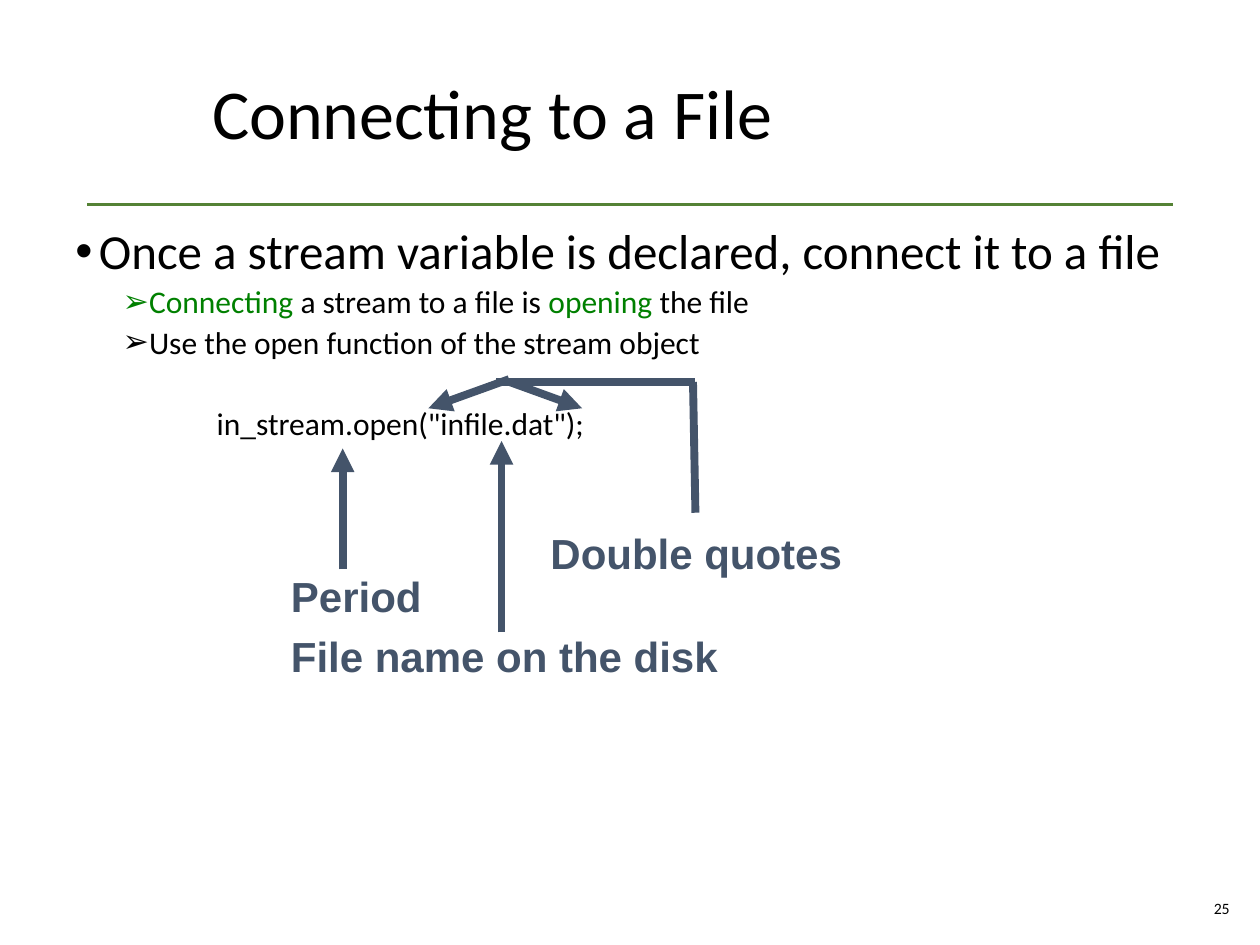
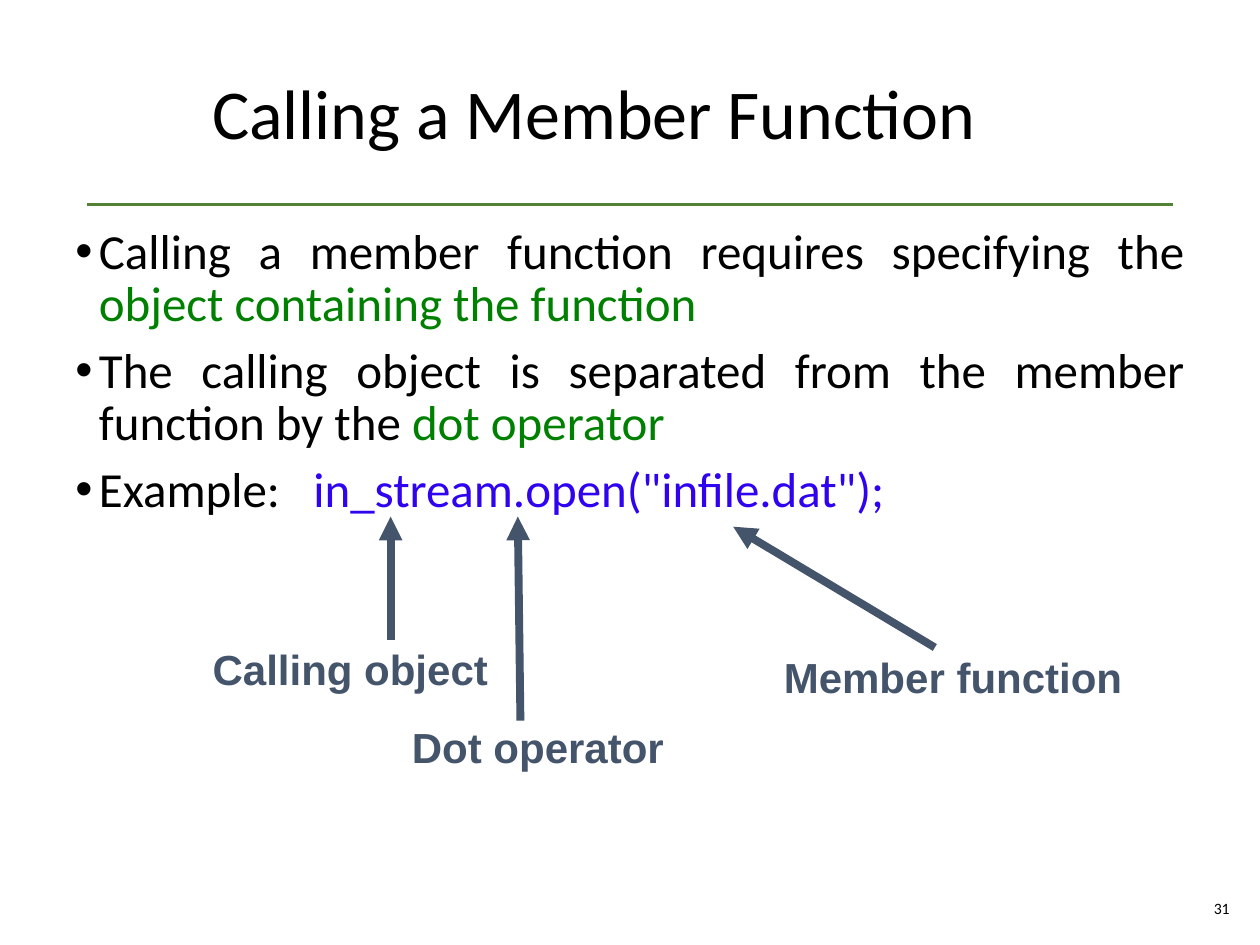
import pptx
import pptx.util
import pptx.dml.color
import pptx.enum.shapes
import pptx.enum.text
import pptx.oxml
import pptx.oxml.ns

Pt = pptx.util.Pt
ALIGN = pptx.enum.text.PP_ALIGN
ANCHOR = pptx.enum.text.MSO_ANCHOR
BLACK, GREEN, BLUE, SLATE, RULE = "000000", "008000", "2F02F0", "44546A", "548235"
EXAMPLE = 'in_stream.open("infile.dat");'


def color(code):
    return pptx.dml.color.RGBColor.from_string(code)


def node(parent, tag, **attrs):
    """Append a drawing element that python-pptx has no method for."""
    item = pptx.oxml.ns.qn("a:" + tag)
    child = parent.makeelement(item, attrs)
    parent.append(child)
    return child


def write(para, text, size=28, font="Calibri", ink=BLACK, bold=False, gap=0):
    """Add a run; gap widens the space after each letter, in points."""
    run = para.add_run()
    run.text = text
    run.font.size = Pt(size)
    run.font.name = font
    run.font.bold = bold
    run.font.color.rgb = color(ink)
    if gap:
        run.font._element.set("spc", str(round(gap * 100)))


def box(slide, left, top, width, height, wrap=True):
    frame = slide.shapes.add_textbox(Pt(left), Pt(top), Pt(width), Pt(height)).text_frame
    frame.word_wrap = wrap
    return frame


def line(slide, start, end, ink=SLATE, width=4.5, arrow=False):
    ends = [Pt(value) for value in (*start, *end)]
    link = slide.shapes.add_connector(pptx.enum.shapes.MSO_CONNECTOR.STRAIGHT, *ends)
    link.line.color.rgb = color(ink)
    link.line.width = Pt(width)
    if arrow:
        node(link.line._get_or_add_ln(), "tailEnd", type="triangle")
    node(link._element.spPr, "effectLst")


def label(slide, text, left, top, width):
    frame = box(slide, left, top, width, 36, wrap=False)
    # Narrow side margins keep each label on one line
    frame.margin_left = frame.margin_right = Pt(2)
    para = frame.paragraphs[0]
    para.alignment = ALIGN.CENTER
    write(para, text, size=24, font="Arial", ink=SLATE, bold=True)


def item(frame, runs, size=28, left=13.5, hang=13.5, before=7.5, mark="•",
         align=ALIGN.JUSTIFY):
    """Add a body paragraph; each run is (text, colour) with an optional gap."""
    first = frame.paragraphs[0]
    para = frame.add_paragraph() if first.runs else first
    para.alignment = align
    para.line_spacing = 0.9
    para.space_before = Pt(before)
    props = para._p.get_or_add_pPr()
    props.set("marL", str(Pt(left)))
    props.set("indent", str(-Pt(hang)))
    if mark:
        node(props, "buFont", typeface="Arial")
        node(props, "buChar", char=mark)
    for text, ink, *gap in runs:
        write(para, text, size=size, ink=ink, gap=sum(gap))


def page(deck, title, number):
    """Start a slide with its title, rule and number; return it and its body."""
    slide = deck.slides.add_slide(deck.slide_layouts[5])
    head = slide.shapes.title
    head.left, head.top, head.width, head.height = Pt(114), Pt(21.8), Pt(595.5), Pt(90)
    frame = head.text_frame
    frame.vertical_anchor = ANCHOR.MIDDLE
    para = frame.paragraphs[0]
    para.alignment = ALIGN.LEFT
    para.line_spacing = 0.9
    write(para, title, size=40)

    line(slide, (50, 116.8), (670.3, 116.8), ink=RULE, width=2)

    foot = box(slide, 681, 504.7, 28.8, 28.8)
    foot.vertical_anchor = ANCHOR.MIDDLE
    foot.paragraphs[0].alignment = ALIGN.RIGHT
    write(foot.paragraphs[0], str(number), size=9)
    return slide, box(slide, 36, 126, 648, 378.7)


def connect(deck):
    slide, body = page(deck, "Connecting to a File", 25)
    item(body, [("Once a stream variable is declared, connect it to a file", BLACK)])
    sub = dict(size=18, left=40.5, before=3.8, mark="➢", align=ALIGN.LEFT)
    item(body, [("Connecting", GREEN), (" a stream to a file is ", BLACK),
                ("opening", GREEN), (" the file", BLACK)], **sub)
    item(body, [("Use the open function of the stream object", BLACK)], **sub)
    item(body, [(EXAMPLE, BLACK)], size=18, left=80.8, hang=0, before=27,
         mark=None, align=ALIGN.LEFT)

    # Labels below the code
    label(slide, "Period", 159, 322.6, 89.3)
    label(slide, "File name on the disk", 159, 357, 258.5)
    label(slide, "Double quotes", 307.5, 298, 180.7)

    # Arrows to the period, the file name and both quotes
    for start, end in (((195.8, 325.4), (195.8, 256.3)),
                       ((286.6, 361.4), (286.6, 252)),
                       ((290.9, 216.7), (244.8, 233.3)),
                       ((290.9, 218.2), (332.6, 233.3))):
        line(slide, start, end, arrow=True)

    # Elbow from the quotes label
    line(slide, (397.4, 293), (396, 218.2))
    line(slide, (397.4, 218.2), (283.7, 218.2))


def call(deck):
    slide, body = page(deck, "Calling a Member Function", 31)
    item(body, [("Calling a member function requires specifying the ", BLACK),
                ("object containing the function", GREEN)])
    item(body, [("The calling object is separated from the member function by the ", BLACK),
                ("dot operator", GREEN)])
    item(body, [("Example:", BLACK), (" ", BLACK, 12.7), (EXAMPLE, BLUE)], align=ALIGN.LEFT)

    # Parts of the call, each label with its arrow
    for text, left, top, width, start, end in (
            ("Calling object", 114.5, 364.3, 171.4, (223.2, 365.8), (223.2, 295.2)),
            ("Dot operator", 228.2, 409, 158.4, (297.4, 411.8), (295.9, 295.2)),
            ("Member function", 440.6, 368.6, 208, (534.2, 370), (419, 301))):
        label(slide, text, left, top, width)
        line(slide, start, end, arrow=True)


def main():
    deck = pptx.Presentation()
    deck.slide_width, deck.slide_height = Pt(720), Pt(540)
    connect(deck)
    call(deck)
    deck.save("out.pptx")


if __name__ == "__main__":
    main()
